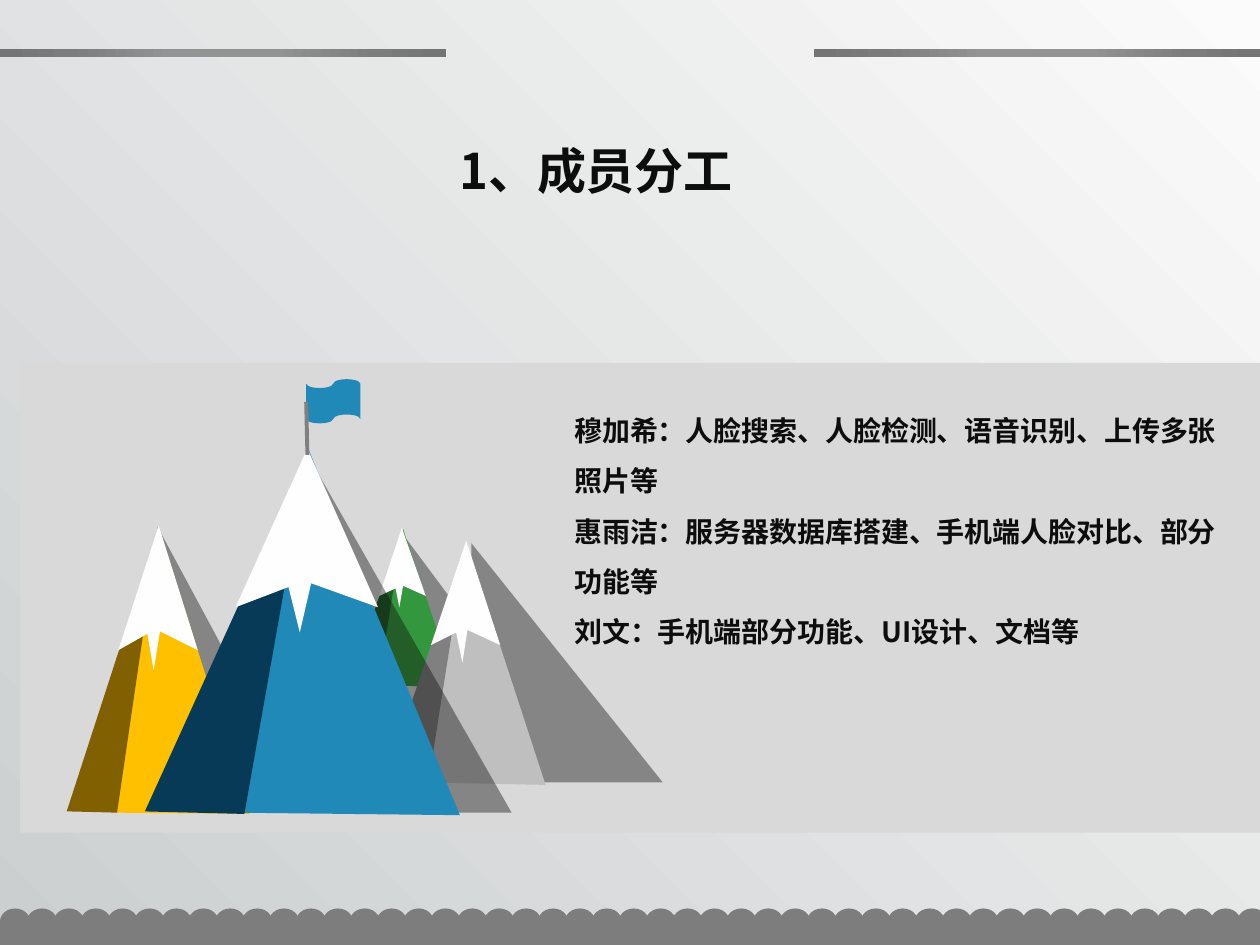
from math import cos, radians, sin

from lxml.etree import SubElement
from pptx import Presentation
from pptx.dml.color import RGBColor
from pptx.enum.shapes import MSO_CONNECTOR, MSO_SHAPE as SHAPE
from pptx.enum.text import MSO_AUTO_SIZE, PP_ALIGN
from pptx.oxml import parse_xml
from pptx.oxml.ns import nsdecls, qn
from pptx.util import Inches, Pt

FONT = "Noto Sans CJK SC"
COLORS = {
    "bg_light": "FBFBFB", "bg_dark": "CBCFD0", "edge": "7D7D7D",
    "panel": "D9D9D9", "ink": "0D0D0D", "snow": "FFFEFE", "pole": "808080",
    "green": "33973D", "green_dark": "1F5B25",
    "gray": "BFBFBF", "gray_dark": "808080",
    "gold": "FFC000", "gold_dark": "806000",
    "blue": "2189B7", "blue_dark": "073A57",
}
BAR_STOPS = [(0, "939393"), (23, "939393"), (69, "7C7C7C"), (97, "747474")]
PEAKS = [
    ("green", (3.19, 4.23, 0.87, 1.17),
     [(2.98, 5.44), (3.2, 4.2), (3.62, 5.45)],
     [(2.76, 5.44), (3.2, 4.2), (3, 5.44)],
     [(3.19, 4.19), (3.38, 4.73), (3.2, 4.65), (3.17, 4.82), (3.14, 4.67), (3.01, 4.73)]),
    ("gray", (3.74, 4.31, 1.52, 1.9),
     [(3.39, 6.21), (3.7, 4.3), (4.33, 6.23)],
     [(3.05, 6.21), (3.7, 4.3), (3.4, 6.21)],
     [(3.7, 4.29), (3.97, 5.12), (3.71, 5), (3.67, 5.26), (3.62, 5.02), (3.42, 5.12)]),
    ("gold", (1.25, 4.18, 1.21, 2.25),
     [(0.91, 6.45), (1.26, 4.18), (1.98, 6.46)],
     [(0.53, 6.44), (1.26, 4.19), (0.93, 6.45)],
     [(1.26, 4.17), (1.57, 5.16), (1.27, 5.01), (1.22, 5.32), (1.17, 5.03), (0.94, 5.16)]),
    ("blue", (2.44, 3.61, 1.62, 2.84),
     [(1.86, 6.45), (2.45, 3.57), (3.65, 6.47)],
     [(1.15, 6.44), (2.45, 3.58), (1.94, 6.46)],
     [(2.44, 3.56), (3, 4.82), (2.47, 4.63), (2.38, 5.02), (2.29, 4.66), (1.87, 4.82)]),
]
DUTIES = [
    "穆加希：人脸搜索、人脸检测、语音识别、上传多张照片等",
    "惠雨洁：服务器数据库搭建、手机端人脸对比、部分功能等",
    "刘文：手机端部分功能、UI设计、文档等",
]


def rgb(name):
    return RGBColor.from_string(COLORS[name])


def paint(sp, color):
    sp.fill.solid()
    sp.fill.fore_color.rgb = rgb(color)
    sp.line.fill.background()
    sp.shadow.inherit = False
    return sp


def add_preset(shapes, kind, box, color):
    return paint(shapes.add_shape(kind, *map(Inches, box)), color)


def add_polygon(shapes, points, color):
    start, *rest = [(Inches(x), Inches(y)) for x, y in points]
    builder = shapes.build_freeform(*start)
    builder.add_line_segments(rest, close=True)
    return paint(builder.convert_to_shape(), color)


def set_alpha(sp, percent):
    clr = sp.fill._xPr.find(".//" + qn("a:srgbClr"))
    SubElement(clr, qn("a:alpha")).set("val", str(percent * 1000))


def set_background(slide):
    fill = slide.background.fill
    fill.gradient()
    fill.gradient_angle = 225
    for stop, position, color in zip(fill.gradient_stops, (0, 1), ("bg_light", "bg_dark")):
        stop.position = position
        stop.color.rgb = rgb(color)


def add_scalloped_edge(slide):
    shapes = slide.shapes.add_group_shape().shapes
    add_preset(shapes, SHAPE.RECTANGLE, (0, 7.31, 10, 0.19), "edge")
    count, pitch = 46, 9.82 / 46
    for i in range(count):
        add_preset(shapes, SHAPE.OVAL, (i * pitch, 7.21, 0.24, 0.21), "edge")
    arc = [radians(a) for a in range(60, 301, 10)]
    add_polygon(shapes, [(9.94 + 0.12 * cos(a), 7.315 - 0.105 * sin(a)) for a in arc], "edge")


def add_bar(slide, left):
    sp = add_preset(slide.shapes, SHAPE.RECTANGLE, (left, 0.39, 3.54, 0.06), "edge")
    stops = "".join(f'<a:gs pos="{pos * 1000}"><a:srgbClr val="{color}"/></a:gs>'
                    for pos, color in BAR_STOPS)
    grad = parse_xml(
        f'<a:gradFill {nsdecls("a")} rotWithShape="1"><a:gsLst>{stops}</a:gsLst>'
        '<a:path path="circle"><a:fillToRect l="50000" t="50000" r="50000" b="50000"/>'
        '</a:path></a:gradFill>')
    solid = sp._element.spPr.find(qn("a:solidFill"))
    solid.getparent().replace(solid, grad)


def add_peak(shapes, color, shadow, face, shade, snow):
    set_alpha(add_preset(shapes, SHAPE.RIGHT_TRIANGLE, shadow, "ink"), 41)
    add_polygon(shapes, face, color)
    add_polygon(shapes, shade, color + "_dark")
    add_polygon(shapes, snow, "snow")


def add_flag(shapes):
    add_preset(shapes, SHAPE.FLOWCHART_PUNCHED_TAPE, (2.43, 3.01, 0.43, 0.35), "blue")
    pole = shapes.add_connector(MSO_CONNECTOR.STRAIGHT, *map(Inches, (2.43, 3.19, 2.44, 3.61)))
    pole.line.color.rgb = rgb("pole")
    pole.line.width = Pt(2.25)
    SubElement(pole._element.spPr, qn("a:effectLst"))


def add_text(slide, box, lines, size, align=PP_ALIGN.LEFT, spacing=1.0):
    tf = slide.shapes.add_textbox(*map(Inches, box)).text_frame
    tf.word_wrap = True
    tf.auto_size = MSO_AUTO_SIZE.SHAPE_TO_FIT_TEXT
    tf.text = "\n".join(lines)
    for p in tf.paragraphs:
        p.alignment = align
        p.line_spacing = spacing
        p.font.size = Pt(size)
        p.font.bold = True
        p.font.name = FONT
        p.font.color.rgb = rgb("ink")
        SubElement(p._p.pPr.find(qn("a:defRPr")), qn("a:ea")).set("typeface", FONT)


def main():
    prs = Presentation()
    prs.slide_width, prs.slide_height = Inches(10), Inches(7.5)
    slide = prs.slides.add_slide(prs.slide_layouts[6])
    set_background(slide)
    add_scalloped_edge(slide)
    for left in (0, 6.46):
        add_bar(slide, left)
    add_preset(slide.shapes, SHAPE.RECTANGLE, (0.16, 2.88, 10, 3.73), "panel")
    add_text(slide, (0.67, 1.07, 8.12, 0.57), ["1、成员分工"], 28, PP_ALIGN.CENTER)
    mountains = slide.shapes.add_group_shape().shapes
    for peak in PEAKS:
        add_peak(mountains, *peak)
    add_flag(mountains)
    add_text(slide, (4.46, 3.1, 5.3, 2.07), DUTIES, 16, spacing=1.5)
    prs.save("out.pptx")


if __name__ == "__main__":
    main()
